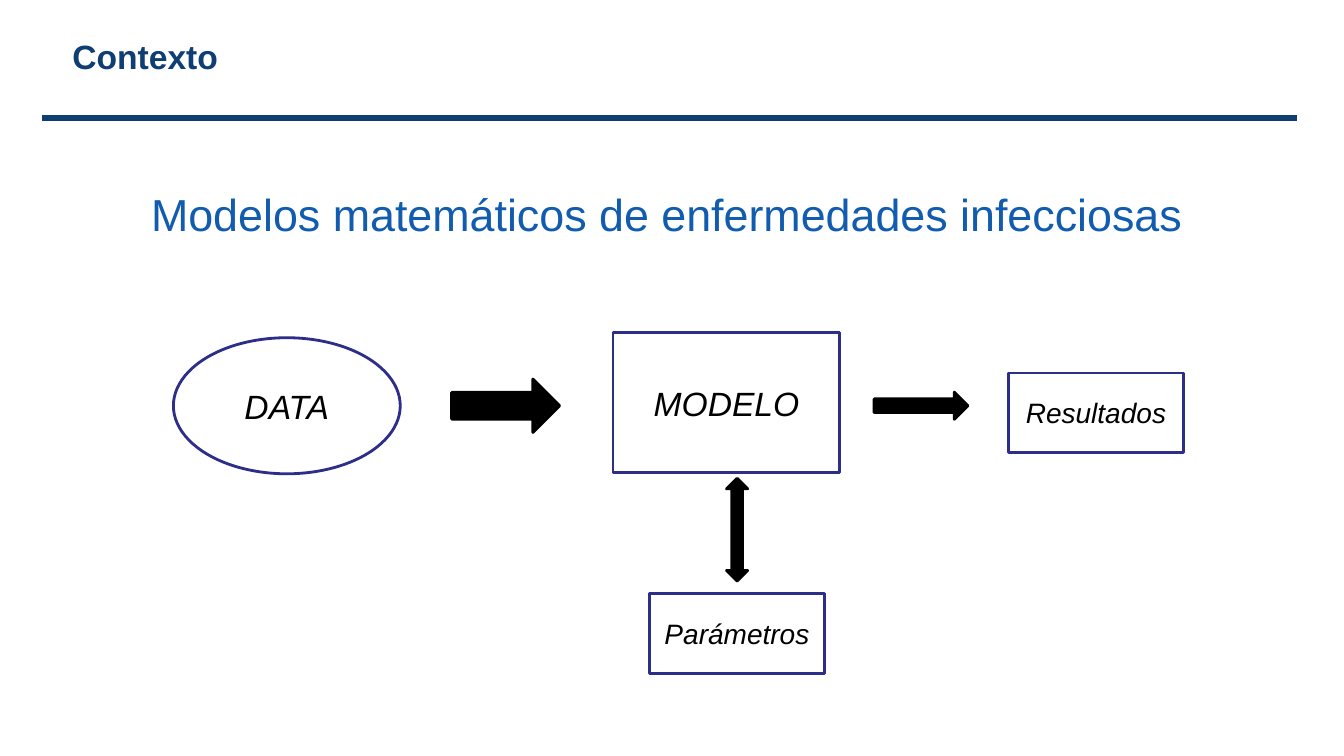
from lxml.etree import SubElement
from pptx import Presentation
from pptx.dml.color import RGBColor
from pptx.enum.shapes import MSO_CONNECTOR as Link, MSO_SHAPE as Kind
from pptx.enum.text import MSO_ANCHOR as Anchor, PP_ALIGN as Align
from pptx.oxml.ns import qn
from pptx.util import Inches, Pt

# Content: centre and size are percentages of the slide's width and height
WIDE, HIGH = 13.33, 7.5
NAVY, BLUE, EDGE, BLACK, WHITE = "0F3E72", "125CAF", "2D2D8A", "000000", "FFFFFF"
FONT = "Arial"
MID = 53.67  # main row of the flow
AXIS = 54.84  # column below the model

RULE = (3.15, 96.47, 15.6)  # left, right, height
HEADS = [  # text, top, size, colour, bold, alignment, anchor, top inset
    ("Contexto", 2.13, 24, NAVY, True, Align.LEFT, Anchor.MIDDLE, 0.05),
    ("Modelos matemáticos de enfermedades infecciosas", 23.33, 32, BLUE,
     False, Align.CENTER, Anchor.TOP, 0.1),
]
BIG, SMALL = (16.88, 18.53), (13.05, 10.53)
NODES = [  # text, kind, centre, size, font size
    ("DATA", Kind.OVAL, (21.34, MID), (16.88, 18), 24),
    ("MODELO", Kind.RECTANGLE, (54.05, 53.27), BIG, 24),
    ("Resultados", Kind.RECTANGLE, (81.55, 54.6), SMALL, 20),
    ("Parámetros", Kind.RECTANGLE, (AXIS, 83.8), SMALL, 20),
]
ARROWS = [  # kind, centre, size, rotation
    (Kind.RIGHT_ARROW, (37.62, MID), (8.03, 7.07), 0),
    (Kind.RIGHT_ARROW, (68.53, MID), (6.98, 3.6), 0),
    (Kind.LEFT_RIGHT_ARROW, (AXIS, 70.07), (7.65, 2.8), 90),
]


def color(code):
    return RGBColor.from_string(code)


def across(share):
    return Inches(WIDE * share / 100)


def down(share):
    return Inches(HIGH * share / 100)


def write(frame, text, size, code, align, anchor, bold=False, italic=False):
    frame.word_wrap = True
    frame.vertical_anchor = anchor
    frame.text = text
    line = frame.paragraphs[0]
    line.alignment = align
    font = line.runs[0].font
    font.name, font.size = FONT, Pt(size)
    font.bold, font.italic = bold, italic
    font.color.rgb = color(code)


def draw(kind, center, size, fill, edge):
    (x, y), (w, h) = center, size
    shape = slide.shapes.add_shape(
        kind, across(x - w / 2), down(y - h / 2), across(w), down(h))
    shape.shadow.inherit = False
    shape.fill.solid()
    shape.fill.fore_color.rgb = color(fill)
    shape.line.color.rgb = color(edge)
    shape.line.width = Pt(2)
    return shape


deck = Presentation()
deck.slide_width, deck.slide_height = Inches(WIDE), Inches(HIGH)
slide = deck.slides.add_slide(deck.slide_layouts[6])

# Rule under the title
left, right, level = RULE
rule = slide.shapes.add_connector(
    Link.STRAIGHT, across(left), down(level), across(right), down(level))
rule.line.color.rgb = color(NAVY)
rule.line.width = Pt(4.5)
SubElement(rule._element.spPr, qn("a:effectLst"))

# Title and subtitle
for text, top, size, code, bold, align, anchor, inset in HEADS:
    box = slide.shapes.add_textbox(across(4.65), down(top), across(90), down(10.53))
    write(box.text_frame, text, size, code, align, anchor, bold=bold)
    box.text_frame.margin_top = Inches(inset)

# Flow: nodes, then arrows
for text, kind, center, size, points in NODES:
    node = draw(kind, center, size, WHITE, EDGE)
    write(node.text_frame, text, points, BLACK, Align.CENTER, Anchor.MIDDLE, italic=True)

for kind, center, size, turn in ARROWS:
    draw(kind, center, size, BLACK, BLACK).rotation = turn

deck.save("out.pptx")
